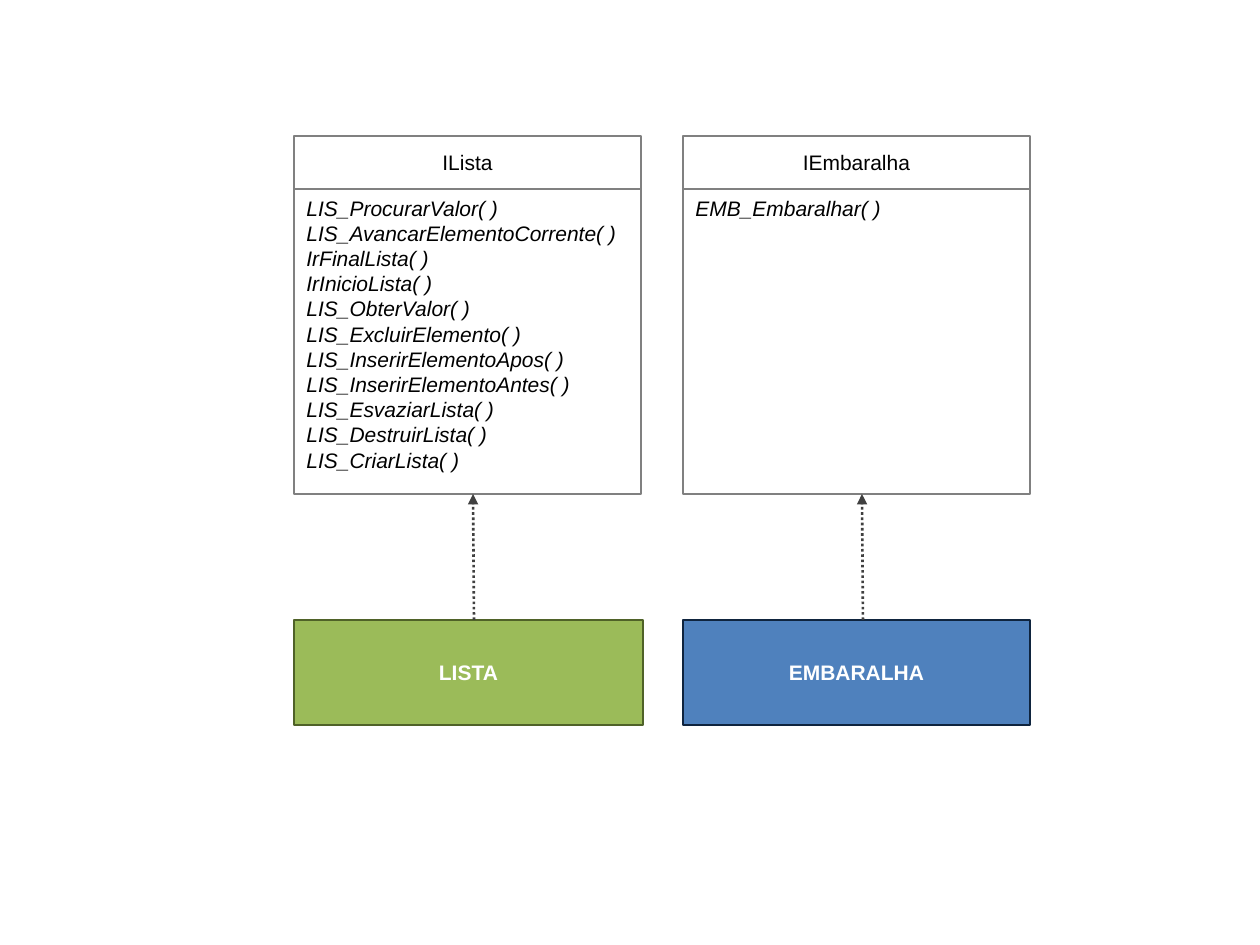
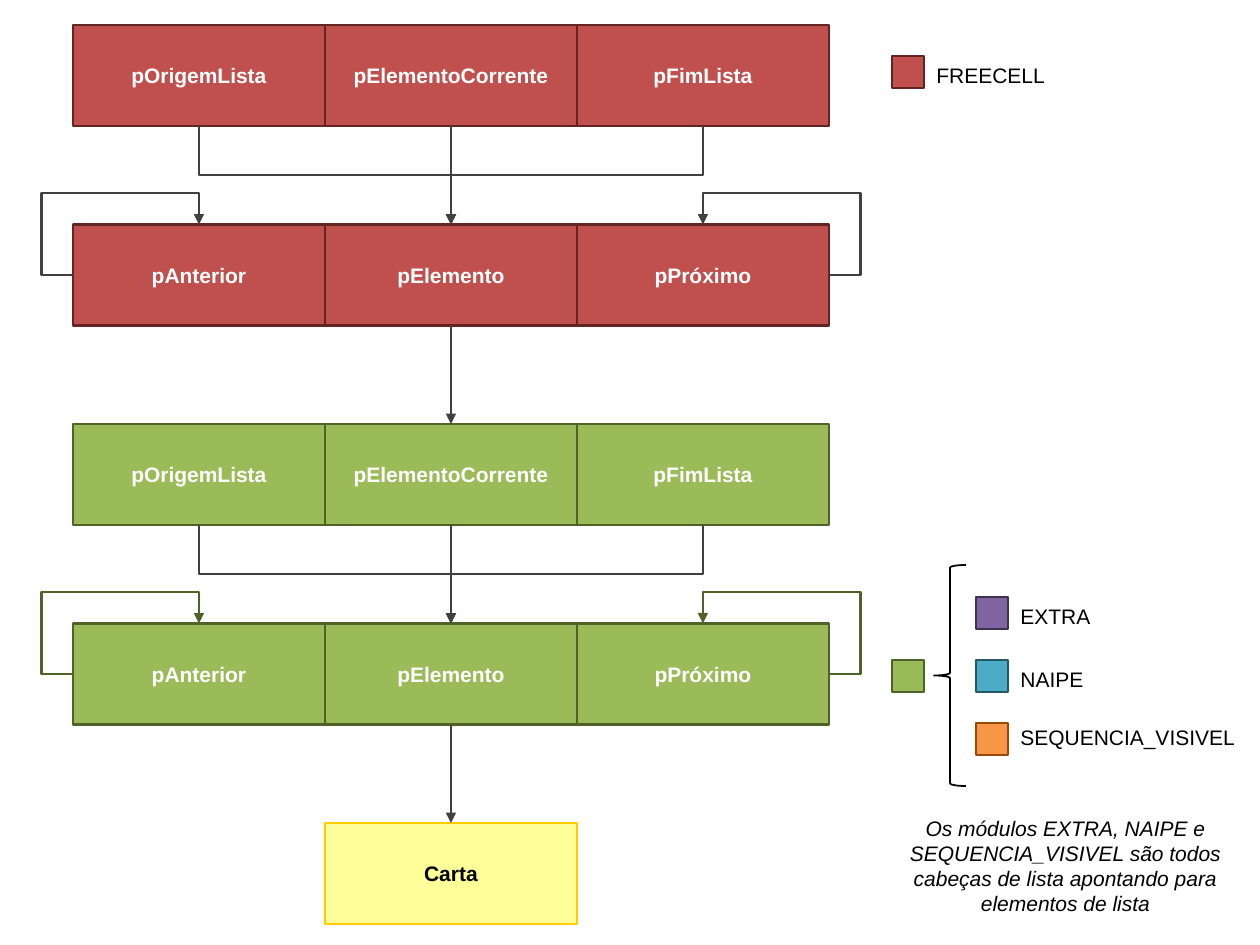
"""Builds two slides: module interfaces, and the linked structure of the card lists."""
from collections import namedtuple
from dataclasses import dataclass

from lxml import etree
from pptx import Presentation
from pptx.dml.color import RGBColor
from pptx.enum.dml import MSO_LINE
from pptx.enum.shapes import MSO_CONNECTOR, MSO_SHAPE
from pptx.enum.text import MSO_ANCHOR, MSO_AUTO_SIZE, PP_ALIGN
from pptx.oxml.ns import qn
from pptx.util import Emu, Pt

RECTANGLE, LEFT_BRACE = MSO_SHAPE.RECTANGLE, MSO_SHAPE.LEFT_BRACE
STRAIGHT, ELBOW = MSO_CONNECTOR.STRAIGHT, MSO_CONNECTOR.ELBOW
DOTTED = MSO_LINE.ROUND_DOT
TOP, MIDDLE = MSO_ANCHOR.TOP, MSO_ANCHOR.MIDDLE
LEFT, CENTER = PP_ALIGN.LEFT, PP_ALIGN.CENTER
FIT_SHAPE = MSO_AUTO_SIZE.SHAPE_TO_FIT_TEXT

PIXEL = 914400 / 126
SLIDE_WIDTH, SLIDE_HEIGHT = 1260, 945
BLANK_LAYOUT = 6

Box = namedtuple("Box", "left top width height")
Paint = namedtuple("Paint", "fill line")


@dataclass(frozen=True)
class Theme:
    """Colours and type sizes of both slides."""
    font: str = "Arial"
    size: float = 12
    outline: float = 1.5
    thin_outline: float = 1
    black: str = "000000"
    white: str = "FFFFFF"
    connector: str = "404040"
    interface: Paint = Paint("FFFFFF", "808080")
    red: Paint = Paint("C0504D", "632523")
    green: Paint = Paint("9BBB59", "4F6228")
    blue: Paint = Paint("4F81BD", "0F243E")
    purple: Paint = Paint("8064A2", "403152")
    aqua: Paint = Paint("4BACC6", "215968")
    orange: Paint = Paint("F79646", "984807")
    yellow: Paint = Paint("FFFF99", "FFCC00")


THEME = Theme()

LIST_METHODS = """LIS_ProcurarValor( )
LIS_AvancarElementoCorrente( )
IrFinalLista( )
IrInicioLista( )
LIS_ObterValor( )
LIS_ExcluirElemento( )
LIS_InserirElementoApos( )
LIS_InserirElementoAntes( )
LIS_EsvaziarLista( )
LIS_DestruirLista( )
LIS_CriarLista( )"""
HEAD_FIELDS = ("pOrigemLista", "pElementoCorrente", "pFimLista")
ELEMENT_FIELDS = ("pAnterior", "pElemento", "pPróximo")
NOTE = ("Os módulos EXTRA, NAIPE e SEQUENCIA_VISIVEL são todos "
        "cabeças de lista apontando para elementos de lista")


def emu(*pixels):
    """Turn pixel lengths into EMU."""
    return [Emu(round(length * PIXEL)) for length in pixels]


def write_text(shape, text, color=THEME.black, bold=False, italic=False,
               align=LEFT, anchor=TOP):
    """Fill a shape with text, one paragraph a line."""
    frame = shape.text_frame
    frame.word_wrap = True
    frame.vertical_anchor = anchor
    frame.text = text
    for paragraph in frame.paragraphs:
        paragraph.alignment = align
        for run in paragraph.runs:
            font = run.font
            font.name, font.size = THEME.font, Pt(THEME.size)
            font.bold, font.italic = bold, italic
            font.color.rgb = RGBColor.from_string(color)


def add_block(slide, box, paint, text="", **text_format):
    """Draw a filled, outlined rectangle, with text if there is any."""
    shape = slide.shapes.add_shape(RECTANGLE, *emu(*box))
    shape.shadow.inherit = False
    shape.fill.solid()
    shape.fill.fore_color.rgb = RGBColor.from_string(paint.fill)
    shape.line.color.rgb = RGBColor.from_string(paint.line)
    shape.line.width = Pt(THEME.outline)
    if text:
        write_text(shape, text, **text_format)


def add_cell(slide, box, paint, text, color=THEME.white):
    """Draw a block with a bold, centred name."""
    add_block(slide, box, paint, text, color=color, bold=True, align=CENTER, anchor=MIDDLE)


def add_label(slide, box, text, **text_format):
    """Place a text box that grows with its text."""
    label = slide.shapes.add_textbox(*emu(*box))
    write_text(label, text, **text_format)
    label.text_frame.auto_size = FIT_SHAPE


def add_arrow(slide, start, end, kind=STRAIGHT, color=THEME.connector, dash=None):
    """Draw a connector with a triangle at its end."""
    connector = slide.shapes.add_connector(kind, *emu(*start, *end))
    connector.line.color.rgb = RGBColor.from_string(color)
    connector.line.width = Pt(THEME.outline)
    if dash:
        connector.line.dash_style = dash
    properties = connector._element.spPr
    etree.SubElement(properties.find(qn("a:ln")), qn("a:tailEnd"), type="triangle")
    etree.SubElement(properties, qn("a:effectLst"))
    return connector


def add_elbow(slide, start, end, preset, adjustments, rotation=0, color=THEME.connector):
    """Draw a bent arrow; start and end are given before the rotation in degrees."""
    properties = add_arrow(slide, start, end, ELBOW, color)._element.spPr
    if rotation:
        properties.find(qn("a:xfrm")).set("rot", str(rotation * 60000))
    geometry = properties.find(qn("a:prstGeom"))
    geometry.set("prst", preset)
    values = geometry.find(qn("a:avLst"))
    for number, value in enumerate(adjustments, start=1):
        etree.SubElement(values, qn("a:gd"), name=f"adj{number}", fmla=f"val {value}")


def add_interface(slide, box, name, methods, module, paint, module_width):
    """Draw an interface, the module below it, and the dotted arrow between them."""
    header_height, body_height, module_height = 53, 305, 105
    body_top = box.top + header_height
    body_bottom = body_top + body_height
    module_top = box.top + box.height - module_height
    add_block(slide, Box(box.left, body_top, box.width, body_height),
              THEME.interface, methods, italic=True)
    add_block(slide, Box(box.left, box.top, box.width, header_height),
              THEME.interface, name, align=CENTER, anchor=MIDDLE)
    add_cell(slide, Box(box.left, module_top, module_width, module_height), paint, module)
    add_arrow(slide, (box.left + 180, module_top), (box.left + 179, body_bottom), dash=DOTTED)


def add_row(slide, box, paint, names):
    """Draw equal cells side by side."""
    width = box.width / len(names)
    for index, name in enumerate(names):
        add_cell(slide, Box(box.left + index * width, box.top, width, box.height), paint, name)


def add_merge(slide, box):
    """Lead the two outer cells and the middle one to the cell below, through a gap."""
    column = box.width / 3
    center = box.left + box.width / 2
    middle = box.top + box.height / 2
    for side, rotation in ((-1, 270), (1, 90)):
        # The unrotated frame is as wide as the gap and as high as a column.
        frame_center = center + side * column / 2
        start_x = frame_center + side * -box.height / 2
        end_x = frame_center + side * box.height / 2
        add_elbow(slide, (start_x, middle - column / 2), (end_x, middle + column / 2),
                  "bentConnector3", (50000,), rotation)
    add_arrow(slide, (center, box.top), (center, box.top + box.height))


def add_self_links(slide, box, color):
    """Lead each end of a row back to the top of its outer cell."""
    half_column = box.width / 6
    middle = box.top + box.height / 2
    right = box.left + box.width
    adjustments = (-25000, 162500)
    add_elbow(slide, (box.left + half_column, box.top), (box.left, middle),
              "bentConnector4", adjustments, 180, color)
    add_elbow(slide, (right, middle), (right - half_column, box.top),
              "bentConnector4", adjustments, color=color)


def add_list(slide, head, element, paint, loop_color):
    """Draw the head of a list, its element, and the arrows between them."""
    head_bottom = head.top + head.height
    add_row(slide, head, paint, HEAD_FIELDS)
    add_row(slide, element, paint, ELEMENT_FIELDS)
    add_merge(slide, Box(head.left, head_bottom, head.width, element.top - head_bottom))
    add_self_links(slide, element, loop_color)


def add_structure(slide, box):
    """Stack the two lists and the card, each leading to the next."""
    row_height, row_count = 101, 5
    pitch = (box.height - row_height) / (row_count - 1)
    rows = [Box(box.left, box.top + index * pitch, box.width, row_height)
            for index in range(row_count)]
    column = box.width / 3
    center = box.left + box.width / 2
    add_list(slide, rows[0], rows[1], THEME.red, THEME.connector)
    add_list(slide, rows[2], rows[3], THEME.green, THEME.green.line)
    add_cell(slide, Box(box.left + column, rows[4].top, column, row_height),
             THEME.yellow, "Carta", color=THEME.black)
    for upper, lower in ((rows[1], rows[2]), (rows[3], rows[4])):
        add_arrow(slide, (center, upper.top + row_height), (center, lower.top))


def add_legend(slide, box):
    """Explain the cell colours, with a brace around the kinds of list head."""
    swatch, entry_step, entry_left = 32, 63, box.left + 84
    entries_top = box.top + 541
    add_block(slide, Box(box.left, box.top, swatch, swatch), THEME.red)
    add_label(slide, Box(box.left + swatch, box.top, 158, 38), "FREECELL")
    add_block(slide, Box(box.left, entries_top + entry_step, swatch, swatch), THEME.green)
    entries = (("EXTRA", THEME.purple, 158, 0), ("NAIPE", THEME.aqua, 158, 0),
               ("SEQUENCIA_VISIVEL", THEME.orange, 262, -5))
    for index, (name, paint, width, shift) in enumerate(entries):
        top = entries_top + index * entry_step
        add_block(slide, Box(entry_left, top, swatch, swatch), paint)
        add_label(slide, Box(entry_left + swatch, top + shift, width, 38), name)
    brace = slide.shapes.add_shape(
        LEFT_BRACE, *emu(box.left + 42, entries_top - swatch, swatch, 221))
    brace.shadow.inherit = False
    brace.fill.background()
    brace.line.color.rgb = RGBColor.from_string(THEME.black)
    brace.line.width = Pt(THEME.thin_outline)
    note_height = 115
    add_label(slide, Box(box.left, box.top + box.height - note_height, box.width, note_height),
              NOTE, italic=True, align=CENTER)


def build_interfaces(slide):
    """Place the two interfaces side by side."""
    add_interface(slide, Box(294, 136, 347, 589), "ILista", LIST_METHODS,
                  "LISTA", THEME.green, module_width=349)
    add_interface(slide, Box(683, 136, 347, 589), "IEmbaralha", "EMB_Embaralhar( )",
                  "EMBARALHA", THEME.blue, module_width=347)


def build_structure(slide):
    """Place the linked lists and their legend."""
    add_structure(slide, Box(73, 25, 756, 899))
    add_legend(slide, Box(892, 56, 347, 868))


def main():
    """Build and save the presentation."""
    presentation = Presentation()
    presentation.slide_width, presentation.slide_height = emu(SLIDE_WIDTH, SLIDE_HEIGHT)
    for build in (build_interfaces, build_structure):
        build(presentation.slides.add_slide(presentation.slide_layouts[BLANK_LAYOUT]))
    presentation.save("out.pptx")


main()
